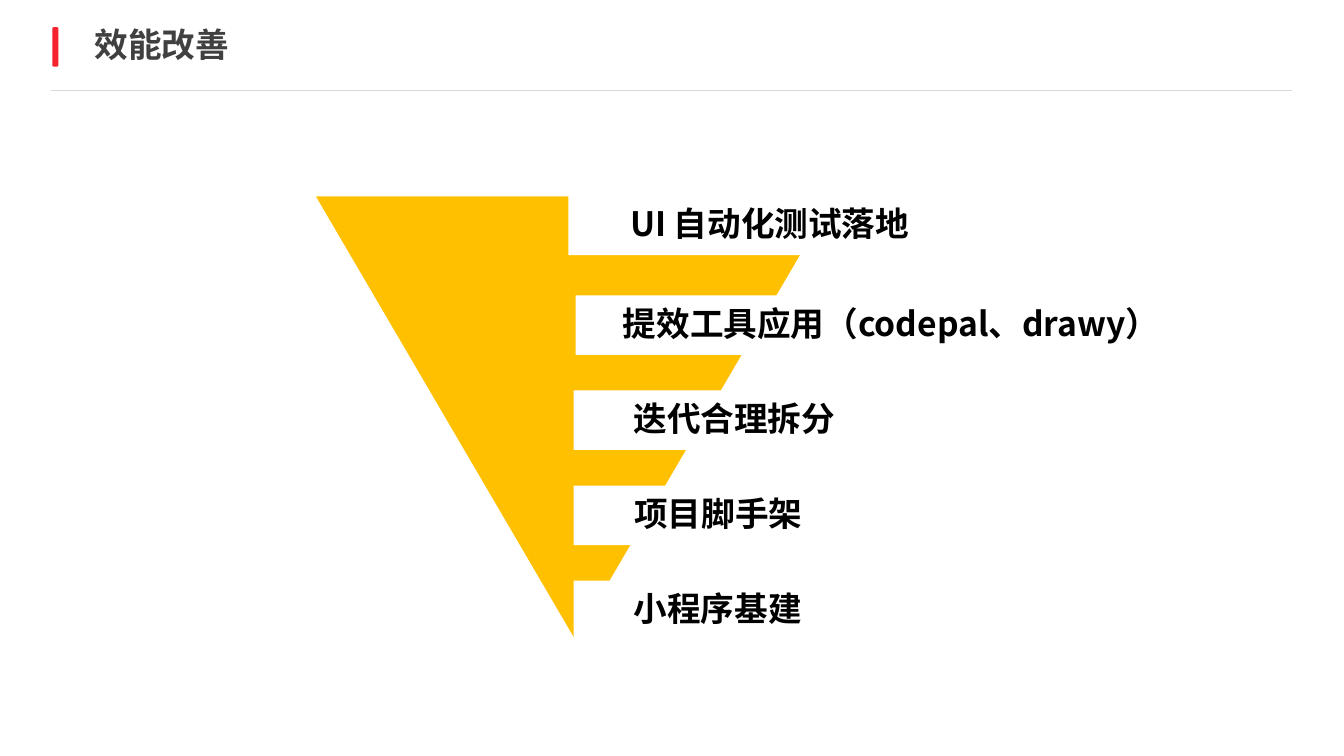
from dataclasses import dataclass

from lxml import etree
from pptx import Presentation
from pptx.dml.color import RGBColor
from pptx.enum.shapes import MSO_CONNECTOR, MSO_SHAPE
from pptx.enum.text import MSO_ANCHOR, MSO_AUTO_SIZE, PP_ALIGN
from pptx.oxml.ns import qn
from pptx.util import Inches, Pt

RECT, ROUNDED, TRIANGLE = MSO_SHAPE.RECTANGLE, MSO_SHAPE.ROUNDED_RECTANGLE, MSO_SHAPE.ISOSCELES_TRIANGLE
STRAIGHT = MSO_CONNECTOR.STRAIGHT
MIDDLE = MSO_ANCHOR.MIDDLE
NO_FIT = MSO_AUTO_SIZE.NONE
LEFT, CENTER = PP_ALIGN.LEFT, PP_ALIGN.CENTER


@dataclass(frozen=True)
class Theme:
    font: str = "Noto Sans CJK SC"
    size: int = 24
    title: str = "404040"
    text: str = "000000"
    rule: str = "D9D9D9"
    accent: str = "F5232D"
    funnel: str = "FFC000"
    paper: str = "FFFFFF"


class Deck:
    def __init__(self, theme):
        self.theme = theme
        self.prs = Presentation()
        self.prs.slide_width, self.prs.slide_height = Inches(13.33), Inches(7.5)
        self.s = self.prs.slides.add_slide(self.prs.slide_layouts[5])

    def at(self, *shares):
        sides = (self.prs.slide_width, self.prs.slide_height) * 2
        return [round(side * share / 100) for side, share in zip(sides, shares)]

    def set_text(self, tf, text, color, align, spacing):
        for name, value in {"word_wrap": True, "auto_size": NO_FIT, "vertical_anchor": MIDDLE}.items():
            setattr(tf, name, value)
        p = tf.paragraphs[0]
        p.alignment, p.line_spacing = align, spacing
        r = p.add_run()
        r.text = text
        font = {"name": self.theme.font, "size": Pt(self.theme.size), "bold": True}
        for name, value in font.items():
            setattr(r.font, name, value)
        r.font.color.rgb = RGBColor.from_string(color)
        ea = etree.SubElement(r.font._element, qn("a:ea"))
        ea.set("typeface", self.theme.font)

    def title(self, text, box):
        sp = self.s.shapes.title
        sp.left, sp.top, sp.width, sp.height = self.at(*box)
        self.set_text(sp.text_frame, text, self.theme.title, LEFT, 1.0)

    def rule(self, x1, x2, y):
        line = self.s.shapes.add_connector(STRAIGHT, *self.at(x1, y, x2, y))
        line.line.color.rgb = RGBColor.from_string(self.theme.rule)
        line.line.width = Pt(0.75)
        etree.SubElement(line._element.spPr, qn("a:effectLst"))

    def shape(self, kind, box, fill, outline=None):
        sp = self.s.shapes.add_shape(kind, *self.at(*box))
        sp.shadow.inherit = False
        sp.fill.solid()
        sp.fill.fore_color.rgb = RGBColor.from_string(fill)
        if outline:
            sp.line.color.rgb = RGBColor.from_string(outline)
            sp.line.width = Pt(1)
        else:
            sp.line.fill.background()
        return sp

    def label(self, text, box):
        tf = self.shape(RECT, box, self.theme.paper).text_frame
        for side in ("left", "right", "top", "bottom"):
            setattr(tf, f"margin_{side}", Inches(0.1))
        self.set_text(tf, text, self.theme.text, CENTER, 0.9)


def main():
    theme = Theme()
    deck = Deck(theme)
    deck.rule(3.83, 96.15, 12)
    deck.shape(ROUNDED, (3.9, 3.6, 0.45, 5.2), theme.accent).adjustments[0] = 0.22
    deck.title("效能改善", (6.3, 2.8, 58.35, 6.13))

    top, second_row, pitch, height = 25.87, 39.07, 12.58, 7.87
    deck.shape(TRIANGLE, (23.4, top, 38.78, 58.93), theme.funnel, theme.paper).rotation = 180
    labels = [
        ("UI 自动化测试落地", 42.3, 29.93),
        ("提效工具应用（codepal、drawy）", 42.83, 46.95),
        ("迭代合理拆分", 42.68, 23.93),
        ("项目脚手架", 42.68, 21.53),
        ("小程序基建", 42.68, 21.45),
    ]
    tops = [top] + [second_row + pitch * i for i in range(len(labels) - 1)]
    for (text, left, width), y in zip(labels, tops):
        deck.label(text, (left, y, width, height))
    deck.prs.save("out.pptx")


if __name__ == "__main__":
    main()
